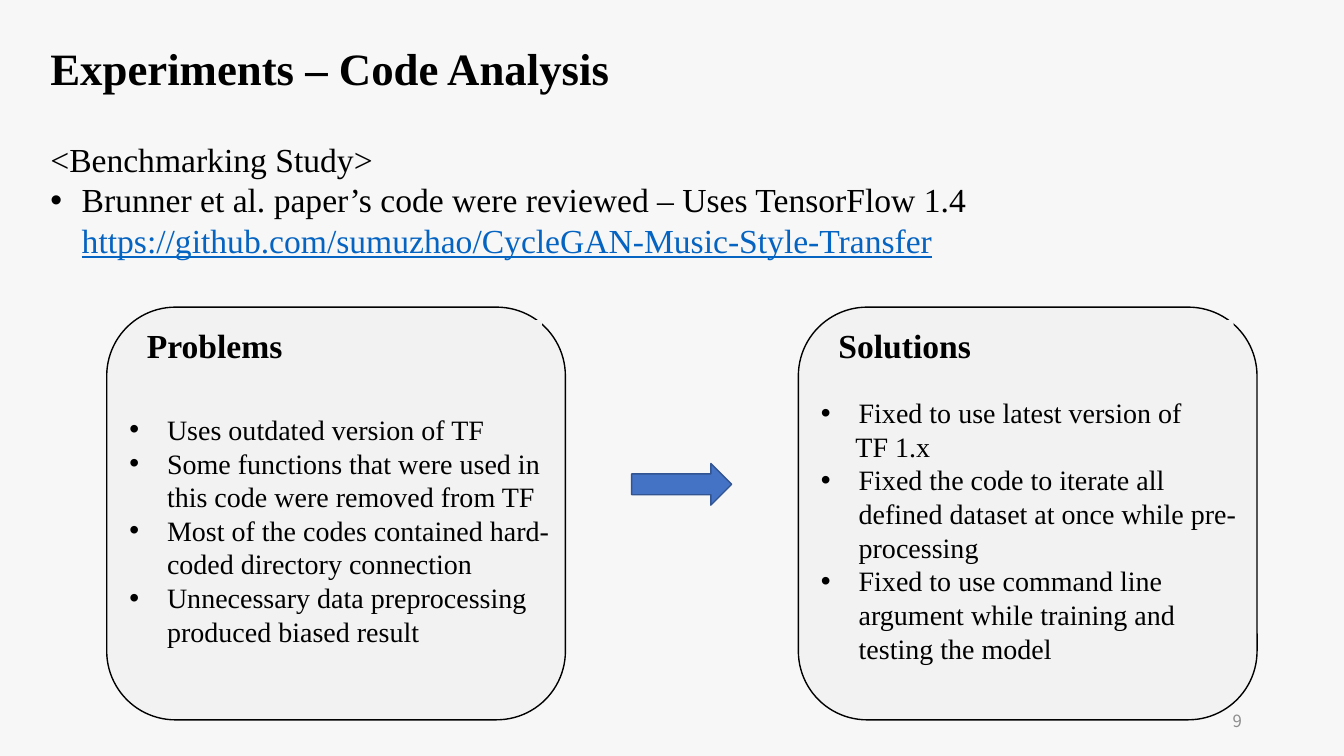
import dataclasses
import pptx
import pptx.util
import pptx.dml.color
import pptx.enum.shapes
import pptx.enum.text
import pptx.oxml.ns
import lxml.etree

Cm, Pt = pptx.util.Cm, pptx.util.Pt
SHAPE = pptx.enum.shapes.MSO_SHAPE
ANCHOR = pptx.enum.text.MSO_ANCHOR
ALIGN = pptx.enum.text.PP_ALIGN
qn = pptx.oxml.ns.qn


@dataclasses.dataclass(frozen=True)
class Theme:
    serif: str = "Times New Roman"
    sans: str = "Noto Sans CJK KR"
    ink: str = "000000"
    panel: str = "F2F2F2"
    arrow: str = "4472C4"
    edge: str = "325491"
    link: str = "0563C1"
    muted: str = "8C8C8C"
    title: int = 32
    head: int = 24
    body: int = 20
    small: int = 12


THEME = Theme()
PROBLEMS = [
    "Uses outdated version of TF",
    "Some functions that were used in this code were removed from TF",
    "Most of the codes contained hard-coded directory connection",
    "Unnecessary data preprocessing produced biased result",
]
SOLUTIONS = [
    "Fixed to use latest version of",
    "TF 1.x",
    "Fixed the code to iterate all defined dataset at once while pre-processing",
    "Fixed to use command line argument while training and testing the model",
]


def rgb(code):
    return pptx.dml.color.RGBColor.from_string(code)


def shape(slide, kind, box, fill, line=None):
    item = slide.shapes.add_shape(kind, *map(Cm, box))
    item.shadow.inherit = False
    item.fill.solid()
    item.fill.fore_color.rgb = rgb(fill)
    if line:
        item.line.color.rgb = rgb(line)
        item.line.width = Pt(1)
    else:
        item.line.fill.background()
    return item


def label(slide, box):
    frame = slide.shapes.add_textbox(*map(Cm, box)).text_frame
    frame.word_wrap = True
    return frame


def style(para, size, color=THEME.ink, bold=False, face=THEME.serif):
    for run in para.runs:
        run.font.name = face
        run.font.size = Pt(size)
        run.font.bold = bold
        run.font.color.rgb = rgb(color)


def indent(para, left, bullet=True):
    """Indent a paragraph by left cm, with a hanging bullet if asked."""
    props = para._p.get_or_add_pPr()
    props.set("marL", str(Cm(left)))
    if bullet:
        props.set("indent", str(-Cm(left)))
        font = lxml.etree.SubElement(props, qn("a:buFont"))
        font.set("typeface", "Arial")
        lxml.etree.SubElement(props, qn("a:buChar")).set("char", "•")


def backdrop(slide, box):
    item = shape(slide, SHAPE.RECTANGLE, box, THEME.panel)
    color = item._element.spPr.find(".//" + qn("a:srgbClr"))
    lxml.etree.SubElement(color, qn("a:alpha")).set("val", "60000")


def title(slide, box):
    para = label(slide, box).paragraphs[0]
    para.text = "Experiments –\u00a0Code Analysis"
    style(para, THEME.title, bold=True)


def study(slide, box):
    frame = label(slide, box)
    frame.text = (
        "<Benchmarking Study>\n"
        "Brunner et al. paper’s code were reviewed – Uses TensorFlow 1.4\v"
        "https://github.com/sumuzhao/CycleGAN-Music-Style-Transfer"
    )
    head, point = frame.paragraphs
    indent(point, 0.79)
    style(head, THEME.head)
    style(point, THEME.head)
    link = point.runs[-1].font
    link.color.rgb = rgb(THEME.link)
    link.underline = True


def card(slide, box, name, items, tall, plain=()):
    """Rounded panel with a heading and a list of height tall; plain items lack bullets."""
    left, top, wide, high = box
    shape(slide, SHAPE.ROUNDED_RECTANGLE, box, THEME.panel, THEME.ink)

    area = (left + 0.41, top + 5.62 - tall / 2, wide - 0.61, tall)
    frame = shape(slide, SHAPE.RECTANGLE, area, THEME.panel).text_frame
    frame.word_wrap = True
    frame.vertical_anchor = ANCHOR.MIDDLE
    frame.margin_left = frame.margin_right = Cm(0.16)
    frame.margin_top = frame.margin_bottom = Cm(0.16)
    frame.text = "\n".join(items)
    for spot, para in enumerate(frame.paragraphs):
        para.alignment = ALIGN.LEFT
        indent(para, 0.87 if spot in plain else 0.95, spot not in plain)
        style(para, THEME.body)

    area = (left + 0.76, top + 0.33, wide - 1.35, 1.37)
    frame = shape(slide, SHAPE.RECTANGLE, area, THEME.panel).text_frame
    frame.vertical_anchor = ANCHOR.TOP
    frame.text = name
    frame.paragraphs[0].alignment = ALIGN.LEFT
    style(frame.paragraphs[0], THEME.head, bold=True)


def number(slide, box):
    frame = label(slide, box)
    frame.vertical_anchor = ANCHOR.MIDDLE
    frame.text = "9"
    frame.paragraphs[0].alignment = ALIGN.RIGHT
    style(frame.paragraphs[0], THEME.small, THEME.muted, face=THEME.sans)


def main():
    deck = pptx.Presentation()
    deck.slide_width, deck.slide_height = Cm(33.87), Cm(19.05)
    slide = deck.slides.add_slide(deck.slide_layouts[6])
    backdrop(slide, (0, 0, 33.87, 19.05))
    number(slide, (23.93, 17.65, 7.62, 1.02))
    title(slide, (1.02, 0.91, 21.74, 1.63))
    study(slide, (1.02, 3.38, 30.53, 4.37))
    card(slide, (2.69, 7.74, 11.56, 10.4), "Problems", PROBLEMS, 6.27)
    shape(slide, SHAPE.RIGHT_ARROW, (15.92, 11.68, 2.52, 1.05),
          THEME.arrow, THEME.edge)
    card(slide, (20.12, 7.74, 11.56, 10.4), "Solutions", SOLUTIONS, 7.11, plain=(1,))
    deck.save("out.pptx")


if __name__ == "__main__":
    main()
